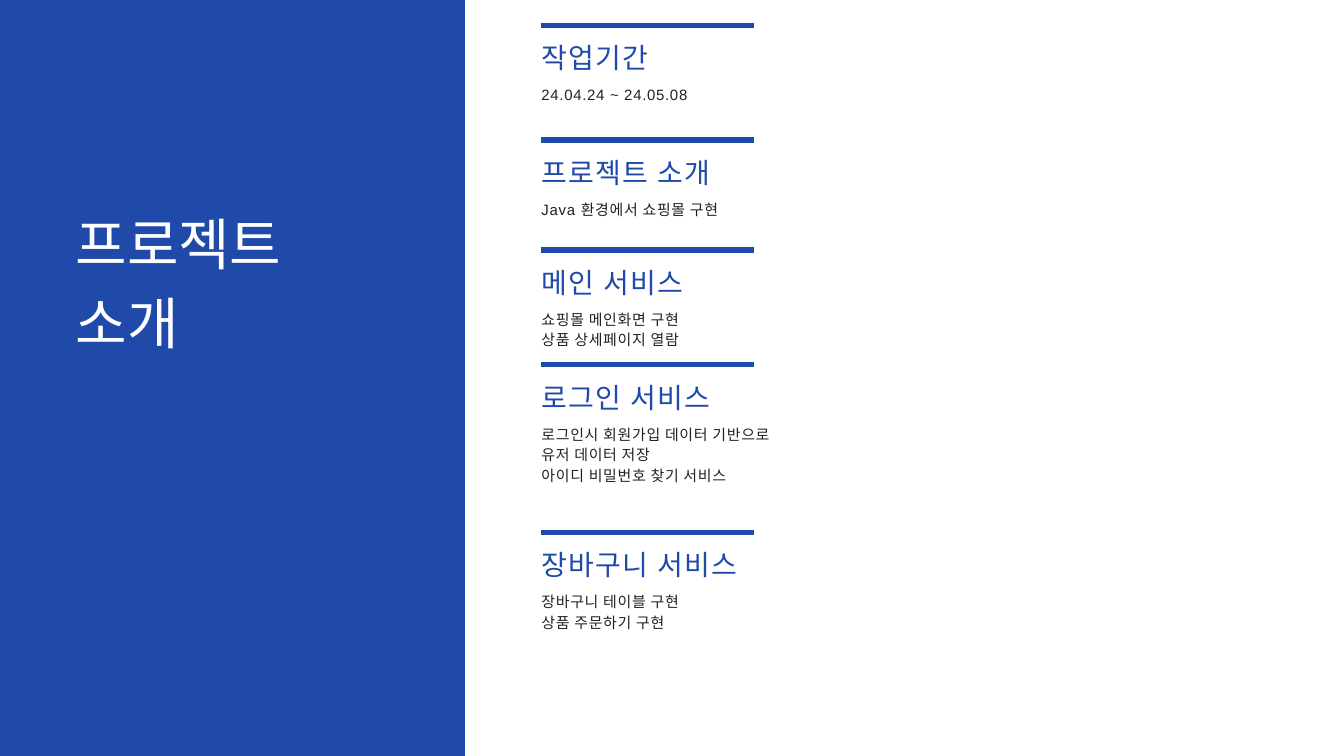
"""Build the project introduction slide with its list of services."""
from dataclasses import dataclass

from pptx import Presentation
from pptx.dml.color import RGBColor
from pptx.enum.shapes import MSO_CONNECTOR, MSO_SHAPE
from pptx.enum.text import MSO_ANCHOR, MSO_AUTO_SIZE, PP_ALIGN
from pptx.oxml.ns import qn
from pptx.util import Inches, Pt
from lxml import etree

STRAIGHT = MSO_CONNECTOR.STRAIGHT
RECTANGLE = MSO_SHAPE.RECTANGLE
TOP = MSO_ANCHOR.TOP
NO_FIT = MSO_AUTO_SIZE.NONE
LEFT, JUSTIFY = PP_ALIGN.LEFT, PP_ALIGN.JUSTIFY


@dataclass(frozen=True)
class TextStyle:
    """Type settings in points."""
    size: float
    leading: float
    color: RGBColor
    spacing: float = 0
    align: PP_ALIGN = LEFT


@dataclass(frozen=True)
class Theme:
    """Colours, type and line settings of the slide."""
    font = "Arial"
    blue = RGBColor(0x20, 0x4A, 0xA9)
    rule = 3.75
    title = TextStyle(40, 56, RGBColor(0xFF, 0xFF, 0xFF))
    heading = TextStyle(20, 27.8, blue, 0.9)
    body = TextStyle(10.7, 14.8, RGBColor(0x22, 0x22, 0x22), 0.5, JUSTIFY)


THEME = Theme()
WIDTH, HEIGHT = 13.33, 7.5
PANEL_W = 4.61
COLUMN_X, RULE_W = 5.37, 2.11
HEADING_DY, HEADING_W, HEADING_H = 0.1, 2.28, 0.39
BODY_DY, BODY_W, BODY_LINE_H = 0.57, 3.41, 0.21

SECTIONS = [
    (0.25, "작업기간", ["24.04.24 ~ 24.05.08"]),
    (1.39, "프로젝트 소개", ["Java 환경에서 쇼핑몰 구현"]),
    (2.48, "메인 서비스", ["쇼핑몰 메인화면 구현", "상품 상세페이지 열람"]),
    (3.62, "로그인 서비스", ["로그인시 회원가입 데이터 기반으로",
                       "유저 데이터 저장", "아이디 비밀번호 찾기 서비스"]),
    (5.28, "장바구니 서비스", ["장바구니 테이블 구현", "상품 주문하기 구현"]),
]


def write_text(shape, lines, style):
    """Fill a shape with one paragraph per line in the given style."""
    tf = shape.text_frame
    tf.text = "\n".join(lines)
    tf.word_wrap = True
    tf.auto_size = NO_FIT
    tf.vertical_anchor = TOP
    tf.margin_left = tf.margin_right = tf.margin_top = tf.margin_bottom = 0
    for p in tf.paragraphs:
        p.alignment = style.align
        p.line_spacing = Pt(style.leading)
        for r in p.runs:
            r.font.name = THEME.font
            r.font.size = Pt(style.size)
            r.font.color.rgb = style.color
            r.font._element.set("spc", str(round(style.spacing * 100)))


def add_text(s, x, y, w, h, lines, style):
    """Add a text box without margins."""
    box = s.shapes.add_textbox(Inches(x), Inches(y), Inches(w), Inches(h))
    write_text(box, lines, style)


def add_rule(s, y):
    """Add the thick line above a section."""
    line = s.shapes.add_connector(STRAIGHT, Inches(COLUMN_X), Inches(y),
                                  Inches(COLUMN_X + RULE_W), Inches(y))
    line.line.color.rgb = THEME.blue
    line.line.width = Pt(THEME.rule)
    etree.SubElement(line.element.spPr, qn("a:effectLst"))


def add_section(s, y, heading, lines):
    """Add a rule, its heading and its body text."""
    add_rule(s, y)
    add_text(s, COLUMN_X, y + HEADING_DY, HEADING_W, HEADING_H,
             [heading], THEME.heading)
    add_text(s, COLUMN_X, y + BODY_DY, BODY_W, BODY_LINE_H * len(lines),
             lines, THEME.body)


def add_title_panel(s):
    """Add the blue side panel and set the title on it."""
    panel = s.shapes.add_shape(RECTANGLE, 0, 0, Inches(PANEL_W), Inches(HEIGHT))
    panel.shadow.inherit = False
    panel.fill.solid()
    panel.fill.fore_color.rgb = THEME.blue
    panel.line.fill.background()
    title = s.shapes.title
    title.element.addprevious(panel.element)
    title.left, title.top = Inches(0.75), Inches(1.97)
    title.width, title.height = Inches(3.42), Inches(1.57)
    write_text(title, ["프로젝트", "소개"], THEME.title)


def main():
    """Build and save the slide."""
    prs = Presentation()
    prs.slide_width, prs.slide_height = Inches(WIDTH), Inches(HEIGHT)
    s = prs.slides.add_slide(prs.slide_layouts.get_by_name("Title Only"))
    add_title_panel(s)
    for y, heading, lines in SECTIONS:
        add_section(s, y, heading, lines)
    prs.save("out.pptx")


if __name__ == "__main__":
    main()
